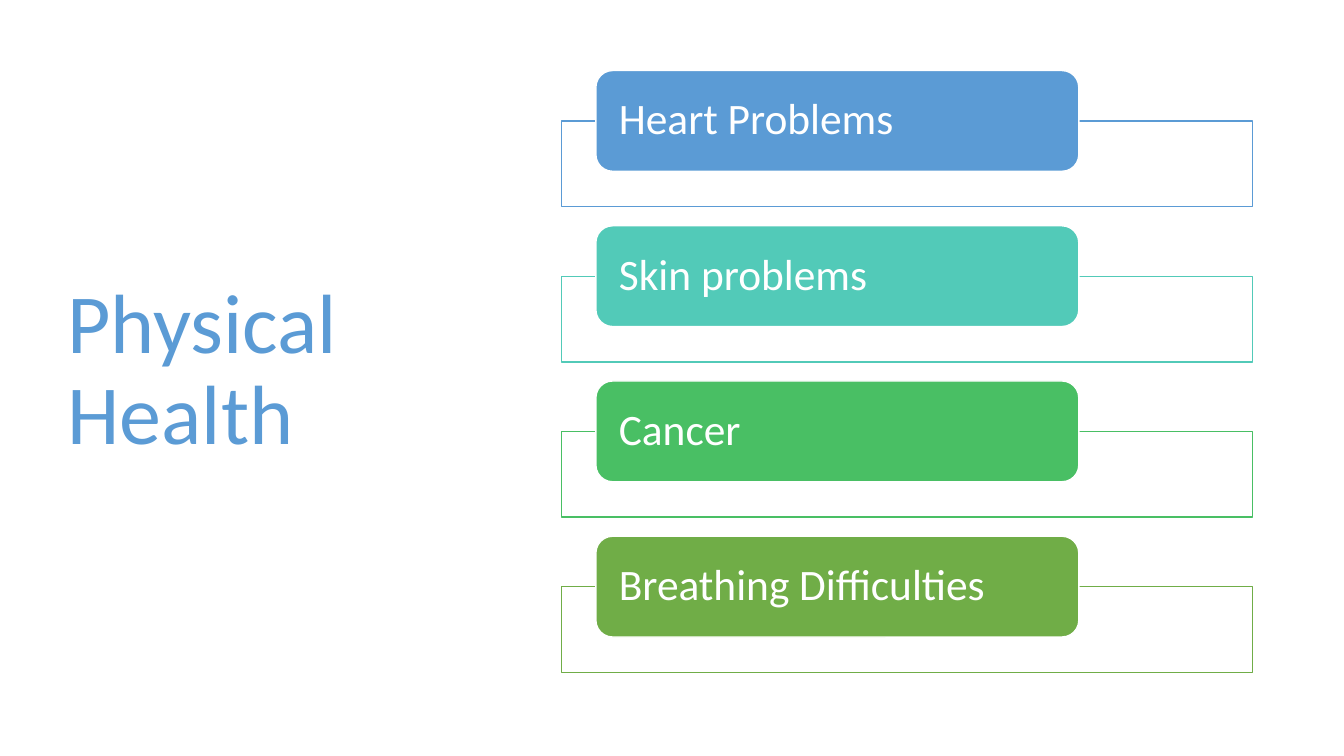
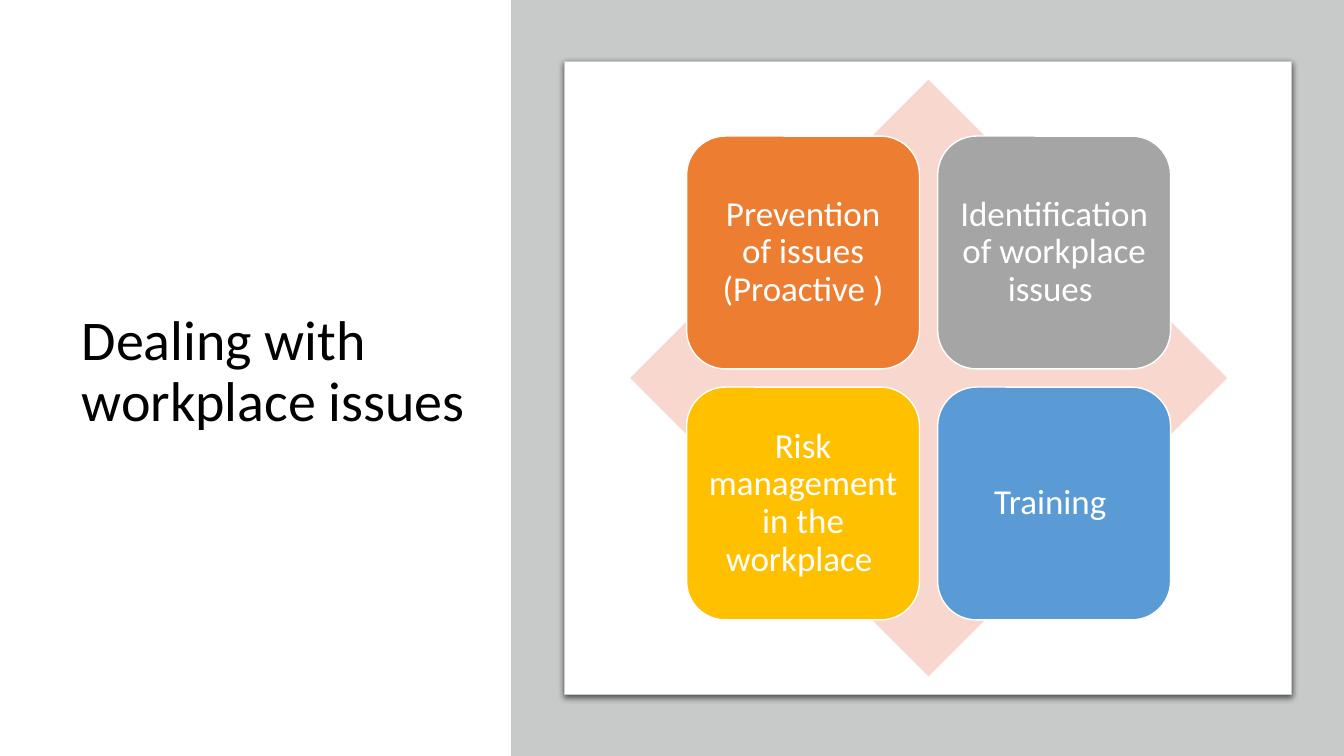
from lxml import etree
from pptx import Presentation
from pptx.dml.color import RGBColor
from pptx.enum.shapes import MSO_SHAPE
from pptx.enum.text import MSO_ANCHOR, MSO_AUTO_SIZE, PP_ALIGN
from pptx.util import Pt

RECT, ROUND, DIAMOND = MSO_SHAPE.RECTANGLE, MSO_SHAPE.ROUNDED_RECTANGLE, MSO_SHAPE.DIAMOND
LEFT, CENTER = PP_ALIGN.LEFT, PP_ALIGN.CENTER
MIDDLE, NO_FIT = MSO_ANCHOR.MIDDLE, MSO_AUTO_SIZE.NONE

# Shared style: 100 px to the inch
PX = 9144
SLIDE_W, SLIDE_H = 1333, 750
FONT = "Calibri"
TITLE_ONLY = 5
COLORS = {
    "white": "FFFFFF", "black": "000000", "blue": "5B9BD5", "teal": "52CAB8",
    "green": "49BF64", "olive": "70AD47", "orange": "ED7D31", "gray": "A5A5A5",
    "gold": "FFC000", "panel": "C8CACA", "blush": "F8D7CE",
}
SHADOW = (
    '<a:effectLst xmlns:a="http://schemas.openxmlformats.org/drawingml/2006/main">'
    '<a:outerShdw blurRad="57150" dist="19050" dir="5400000" algn="t" rotWithShape="0">'
    '<a:srgbClr val="000000"><a:alpha val="63000"/></a:srgbClr>'
    '</a:outerShdw></a:effectLst>'
)

# Content
HEALTH_TITLE = "Physical Health"
HEALTH_ISSUES = [
    ("Heart Problems", "blue"),
    ("Skin problems", "teal"),
    ("Cancer", "green"),
    ("Breathing Difficulties", "olive"),
]
WORKPLACE_TITLE = "Dealing with workplace issues"
WORKPLACE_STEPS = [
    ("Prevention of issues (Proactive )", "orange"),
    ("Identification of workplace issues ", "gray"),
    ("Risk management in the workplace ", "gold"),
    ("Training ", "blue"),
]


def rgb(name):
    return RGBColor.from_string(COLORS[name])


def place(s, box):
    s.left, s.top, s.width, s.height = (v * PX for v in box)


def write(s, text, size, color="white", align=LEFT, inset=(10, 5)):
    tf = s.text_frame
    tf.word_wrap = True
    tf.auto_size = NO_FIT
    tf.vertical_anchor = MIDDLE
    tf.margin_left = tf.margin_right = inset[0] * PX
    tf.margin_top = tf.margin_bottom = inset[1] * PX
    p = tf.paragraphs[0]
    p.alignment = align
    p.line_spacing = 0.9
    r = p.add_run()
    r.text = text
    r.font.name = FONT
    r.font.size = Pt(size)
    r.font.color.rgb = rgb(color)


def add_box(slide, kind, box, fill, line=None, width=1):
    s = slide.shapes.add_shape(kind, *(v * PX for v in box))
    s.shadow.inherit = False
    s.fill.solid()
    s.fill.fore_color.rgb = rgb(fill)
    if line:
        s.line.color.rgb = rgb(line)
        s.line.width = Pt(width)
    else:
        s.line.fill.background()
    return s


def add_slide(prs, title, box, size, color):
    slide = prs.slides.add_slide(prs.slide_layouts[TITLE_ONLY])
    place(slide.shapes.title, box)
    write(slide.shapes.title, title, size, color)
    return slide


def build_health(prs):
    slide = add_slide(prs, HEALTH_TITLE, (57, 68, 416, 602), 60, "blue")
    # Labelled bars, each over an outlined frame
    top, pitch = 70, 154
    for i, (text, color) in enumerate(HEALTH_ISSUES):
        y = top + i * pitch
        add_box(slide, RECT, (557, y + 50, 685, 85), "white", color)
        bar = add_box(slide, ROUND, (591, y, 479, 100), color, "white")
        write(bar, text, 31, inset=(18, 0))


def build_workplace(prs):
    slide = add_slide(prs, WORKPLACE_TITLE, (71, 69, 401, 602), 40, "black")
    # Side panel with a shadowed card
    add_box(slide, RECT, (507, 0, SLIDE_W - 507, SLIDE_H), "panel")
    card = add_box(slide, ROUND, (560, 61, 721, 628), "white", "panel", 0.75)
    card.adjustments[0] = 0
    sp_pr = card.element.spPr
    sp_pr.replace(sp_pr[-1], etree.fromstring(SHADOW))
    # Two by two tiles centred on the diamond
    x, y, span = 625, 79, 592
    add_box(slide, DIAMOND, (x, y, span, span), "blush")
    side, gap, margin = 231, 18, 56
    for i, (text, color) in enumerate(WORKPLACE_STEPS):
        row, col = divmod(i, 2)
        box = (x + margin + col * (side + gap), y + margin + row * (side + gap), side, side)
        tile = add_box(slide, ROUND, box, color, "white")
        write(tile, text, 25, align=CENTER, inset=(10, 10))


def main():
    prs = Presentation()
    prs.slide_width, prs.slide_height = SLIDE_W * PX, SLIDE_H * PX
    build_health(prs)
    build_workplace(prs)
    prs.save("out.pptx")


if __name__ == "__main__":
    main()
